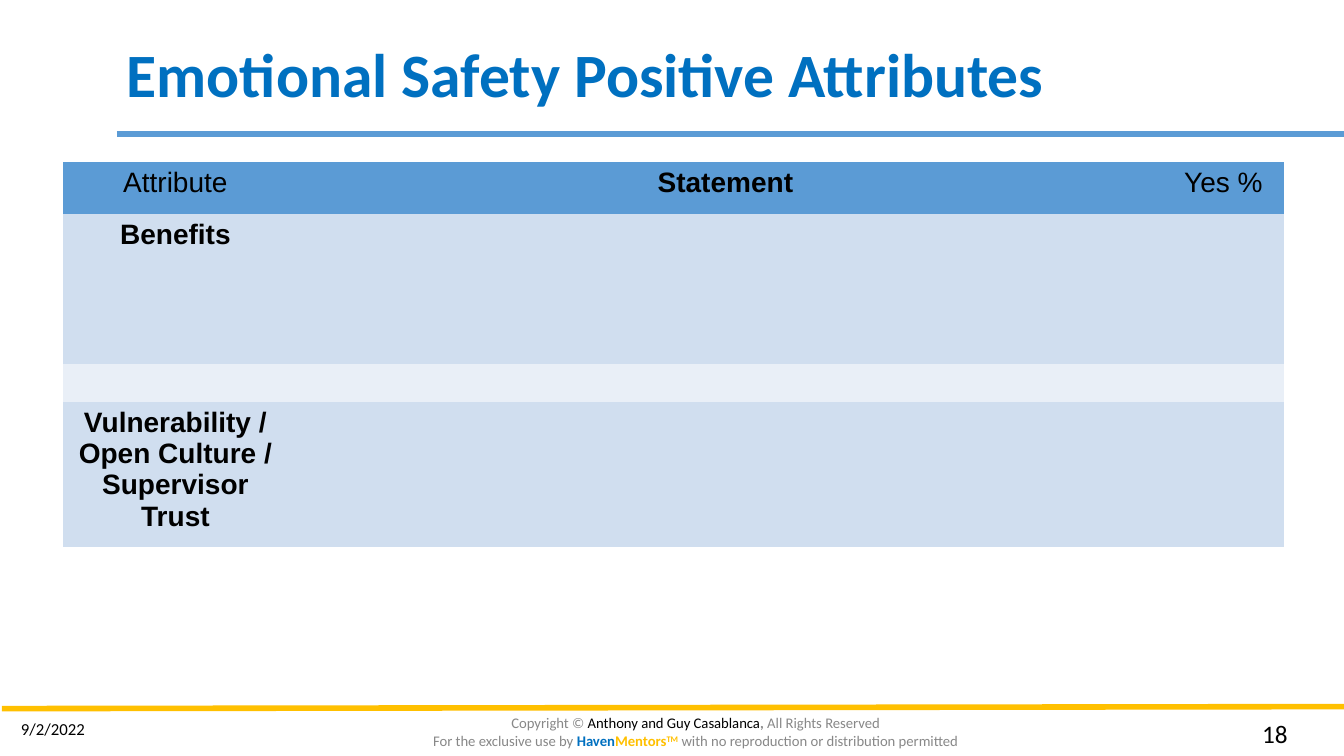
from pptx import Presentation
from pptx import util as u
from pptx.dml.color import RGBColor
from pptx.enum import shapes, text
from pptx.oxml import ns, xmlchemy

COLORS = {
    "blue": "0070C0", "sky": "5B9BD5", "gold": "FFC000", "gray": "888888",
    "black": "000000", "band": "D0DEEF", "pale": "E9EFF7",
}
NO_GRID_STYLE = "{2D5ABB26-0587-4C30-8999-92F81FD0307C}"


def style(font, size=None, color=None, name=None, bold=None):
    """Set the given properties of a font."""
    if size:
        font.size = u.Pt(size)
    if color:
        font.color.rgb = RGBColor.from_string(COLORS[color])
    if name:
        font.name = name
    if bold is not None:
        font.bold = bold


def add_rule(slide, start, end, color):
    """Draw a thick rule between two points."""
    rule = slide.shapes.add_connector(
        shapes.MSO_CONNECTOR.STRAIGHT, *map(u.Inches, start + end))
    rule.line.width = u.Pt(4)
    rule.line.color.rgb = RGBColor.from_string(COLORS[color])
    rule._element.spPr.append(xmlchemy.OxmlElement("a:effectLst"))


def add_label(slide, box, lines, size, color, bold=False, centered=False, middle=False):
    """Place lines of (text, color, bold, superscript) runs in a box."""
    label = slide.shapes.add_textbox(*map(u.Inches, box)).text_frame
    label.word_wrap = True
    label.vertical_anchor = text.MSO_ANCHOR.MIDDLE if middle else text.MSO_ANCHOR.TOP
    for index, pieces in enumerate(lines):
        line = label.add_paragraph() if index else label.paragraphs[0]
        line.alignment = text.PP_ALIGN.CENTER if centered else text.PP_ALIGN.LEFT
        style(line.font, size, color, "Calibri", bold)
        for words, run_color, run_bold, raised in pieces:
            run = line.add_run()
            run.text = words
            style(run.font, color=run_color, bold=run_bold)
            if raised:
                run.font._element.set("baseline", "30000")
    return label


def plain(words):
    """Return one line holding a single run in the line's own style."""
    return [[(words, None, None, False)]]


def add_heading(slide, left, top, width):
    """Place the title with the rule beneath it."""
    title = add_label(slide, (left, top, width, 0.93),
                      plain("Emotional Safety Positive Attributes"),
                      44, "blue", bold=True, middle=True)
    title.paragraphs[0].line_spacing = 0.9
    add_rule(slide, (left, top + 1.03), (13.33, top + 1.03), "sky")


def add_attributes(slide, left, top):
    """Place the table of attributes, statements and percentages."""
    widths = (2.24, 8.67, 1.21)
    rows = (
        (0.51, "sky", ("Attribute", "Statement", "Yes %")),
        (1.49, "band", ("Benefits", "", "")),
        (0.38, "pale", ("", "", "")),
        (1.35, "band", ("Vulnerability / Open Culture / Supervisor Trust", "", "")),
    )
    height = sum(row[0] for row in rows)
    attributes = slide.shapes.add_table(
        len(rows), len(widths),
        *map(u.Inches, (left, top, sum(widths), height))).table
    attributes.first_row = attributes.horz_banding = False
    attributes._tbl.tblPr.find(ns.qn("a:tableStyleId")).text = NO_GRID_STYLE
    for column, width in zip(attributes.columns, widths):
        column.width = u.Inches(width)
    for row, (row_height, fill, entries) in zip(attributes.rows, rows):
        row.height = u.Inches(row_height)
        for cell, entry in zip(row.cells, entries):
            cell.fill.solid()
            cell.fill.fore_color.rgb = RGBColor.from_string(COLORS[fill])
            cell.text = entry
            line = cell.text_frame.paragraphs[0]
            line.alignment = text.PP_ALIGN.CENTER
            style(line.font, 20 if entry else 16, "black", "Arial",
                  entry not in ("Attribute", "Yes %"))


def add_footer(slide, top):
    """Place the gold rule, date, copyright lines and page number."""
    add_rule(slide, (0.02, top), (13.33, top - 0.02), "gold")
    notice = [
        [("Copyright © ", None, None, False),
         ("Anthony and Guy Casablanca", "black", None, False),
         (", ", None, True, False),
         ("All Rights Reserved", None, None, False)],
        [("For the exclusive use by ", None, None, False),
         ("Haven", "blue", True, False),
         ("Mentors", "gold", True, False),
         ("TM", "gold", True, True),
         (" with no reproduction or distribution permitted", None, None, False)],
    ]
    add_label(slide, (1.9, top + 0.03, 10, 0.4), notice, 10.5, "gray",
              centered=True, middle=True)
    add_label(slide, (0.11, top + 0.05, 1.4, 0.4), plain("9/2/2022"), 12, "black")
    add_label(slide, (12.42, top + 0.05, 0.84, 0.4), plain("18"), 18, "black")


def main():
    """Build the slide and save it."""
    deck = Presentation()
    deck.slide_width, deck.slide_height = u.Inches(13.33), u.Inches(7.5)
    slide = deck.slides.add_slide(deck.slide_layouts[6])
    add_footer(slide, 7.03)
    add_heading(slide, 1.16, 0.3, 11.5)
    add_attributes(slide, 0.62, 1.61)
    deck.save("out.pptx")


if __name__ == "__main__":
    main()
